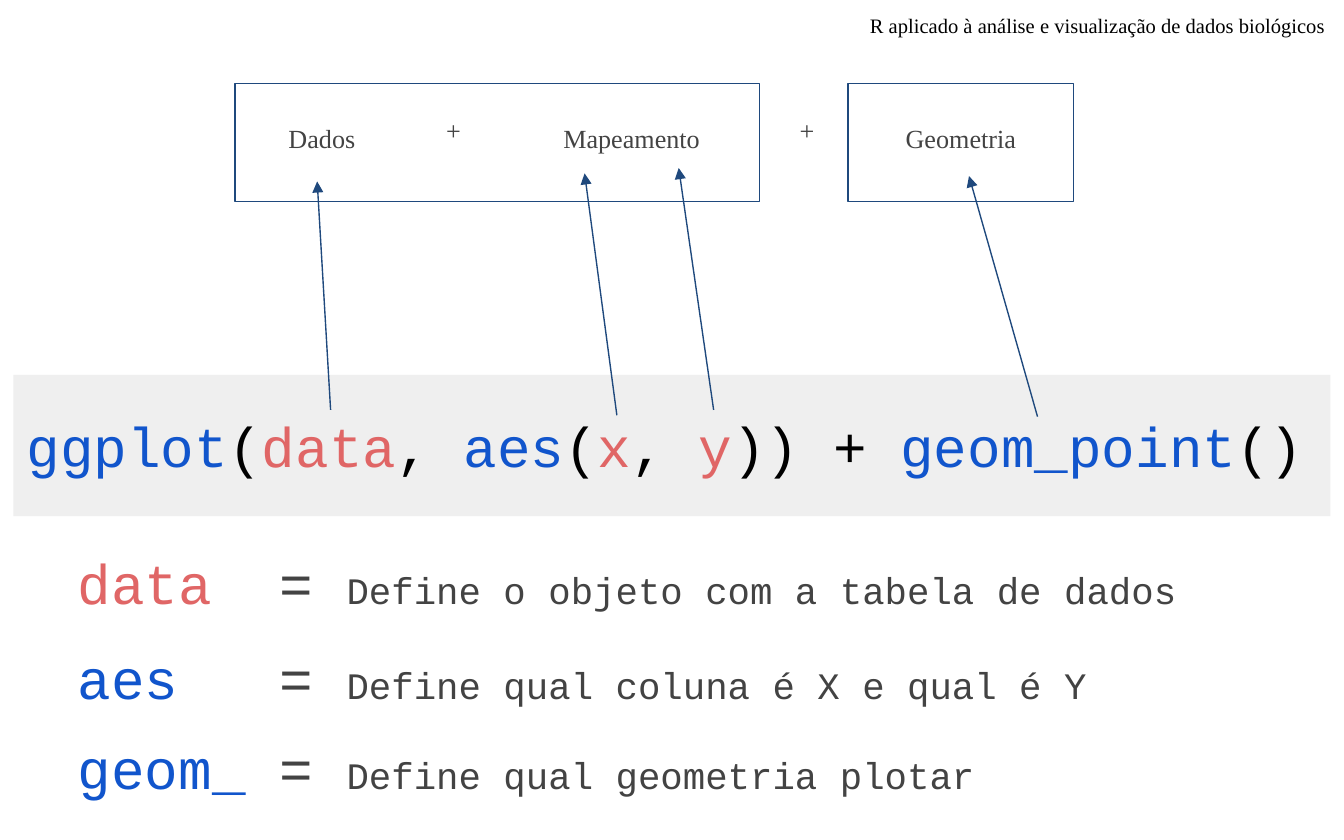
from pptx import Presentation
from pptx.dml.color import RGBColor
from pptx.enum.shapes import MSO_CONNECTOR, MSO_SHAPE
from pptx.enum.text import MSO_ANCHOR, PP_ALIGN
from pptx.oxml.ns import qn
from pptx.util import Inches, Pt
from lxml.etree import SubElement

BLUE = RGBColor(0x11, 0x55, 0xCC)
RED = RGBColor(0xE0, 0x66, 0x66)
BLACK = RGBColor(0, 0, 0)
GRAY = RGBColor(0x43, 0x43, 0x43)
BAND = RGBColor(0xEF, 0xEF, 0xEF)
NAVY = RGBColor(0x1F, 0x49, 0x7D)
SERIF, MONO = "Times New Roman", "Courier New"

# Content
HEADER = "R aplicado à análise e visualização de dados biológicos"
# text, left, top, width, height
LABELS = [
    ("Dados", 1.89, 0.86, 1.01, 0.32),
    ("Mapeamento", 3.86, 0.86, 1.68, 0.32),
    ("Geometria", 6.47, 0.86, 1.36, 0.26),
    ("+", 3.16, 0.8, 0.43, 0.45),
    ("+", 5.79, 0.8, 0.43, 0.45),
]
# left and width of the two frames
FRAMES = [(1.75, 3.9), (6.31, 1.68)]
CODE = [
    ("ggplot", BLUE), ("(", BLACK), ("data", RED), (", ", BLACK),
    ("aes", BLUE), ("(", BLACK), ("x", RED), (", ", BLACK), ("y", RED),
    (")) + ", BLACK), ("geom_point", BLUE), ("()", BLACK),
]
# start and end, from the code up to the label
ARROWS = [
    ((2.46, 3.05), (2.36, 1.35)),
    ((4.59, 3.09), (4.35, 1.29)),
    ((5.31, 3.05), (5.05, 1.25)),
    ((7.72, 3.1), (7.21, 1.31)),
]
# term, colour, meaning, top
DEFINITIONS = [
    ("data", RED, "Define o objeto com a tabela de dados", 3.98),
    ("aes", BLUE, "Define qual coluna é X e qual é Y", 4.69),
    ("geom_", BLUE, "Define qual geometria plotar", 5.36),
]
EQUALS_TAB = 1.5

presentation = Presentation()
presentation.slide_width = Inches(10)
presentation.slide_height = Inches(6.25)
slide = presentation.slides.add_slide(presentation.slide_layouts[6])


def write_text(shape, runs, font=MONO, size=30, align=PP_ALIGN.LEFT,
               anchor=MSO_ANCHOR.MIDDLE, margin=0.1, tab=None):
    """Fill a shape with one paragraph of (text, colour[, size]) runs."""
    frame = shape.text_frame
    frame.word_wrap = True
    frame.vertical_anchor = anchor
    frame.margin_left = frame.margin_right = Inches(0.1)
    frame.margin_top = frame.margin_bottom = Inches(margin)
    paragraph = frame.paragraphs[0]
    paragraph.alignment = align
    if tab:
        stops = SubElement(paragraph._p.get_or_add_pPr(), qn("a:tabLst"))
        SubElement(stops, qn("a:tab"), pos=str(Inches(tab)), algn="l")
    for text, color, *own_size in runs:
        run = paragraph.add_run()
        run.text = text
        run.font.name = font
        run.font.size = Pt(own_size[0] if own_size else size)
        run.font.color.rgb = color


def add_text(left, top, width, height, runs, **text_format):
    shape = slide.shapes.add_textbox(*map(Inches, (left, top, width, height)))
    write_text(shape, runs, **text_format)


def add_rectangle(left, top, width, height, fill=None, line=None):
    shape = slide.shapes.add_shape(
        MSO_SHAPE.RECTANGLE, *map(Inches, (left, top, width, height)))
    shape.shadow.inherit = False
    if fill is None:
        shape.fill.background()
    else:
        shape.fill.solid()
        shape.fill.fore_color.rgb = fill
    if line is None:
        shape.line.fill.background()
    else:
        shape.line.color.rgb = line
        shape.line.width = Pt(0.75)
    return shape


def add_arrow(start, end):
    arrow = slide.shapes.add_connector(
        MSO_CONNECTOR.STRAIGHT, *map(Inches, start + end))
    arrow.line.color.rgb = NAVY
    arrow.line.width = Pt(0.75)
    SubElement(arrow.line._get_or_add_ln(), qn("a:tailEnd"), type="triangle")
    SubElement(arrow._element.spPr, qn("a:effectLst"))


# Layer names and their frames
for text, *place in LABELS:
    add_text(*place, [(text, GRAY)], font=SERIF, size=14,
             align=PP_ALIGN.CENTER, anchor=MSO_ANCHOR.TOP, margin=0.05)

# Code band
band = add_rectangle(0.1, 2.79, 9.8, 1.05, fill=BAND)
write_text(band, CODE)

for left, width in FRAMES:
    add_rectangle(left, 0.62, width, 0.88, line=NAVY)

# Arrows from code to layer names
for start, end in ARROWS:
    add_arrow(start, end)

# Definitions
for term, color, meaning, top in DEFINITIONS:
    add_text(0.48, top, 9.11, 0.7,
             [(term + "\t", color), ("= ", GRAY), (meaning, GRAY, 20)],
             tab=EQUALS_TAB)

# Header
add_text(4.06, 0.05, 5.9, 0.28, [(HEADER, BLACK)], font=SERIF, size=11,
         align=PP_ALIGN.RIGHT, anchor=MSO_ANCHOR.TOP, margin=0.05)

presentation.save("out.pptx")
